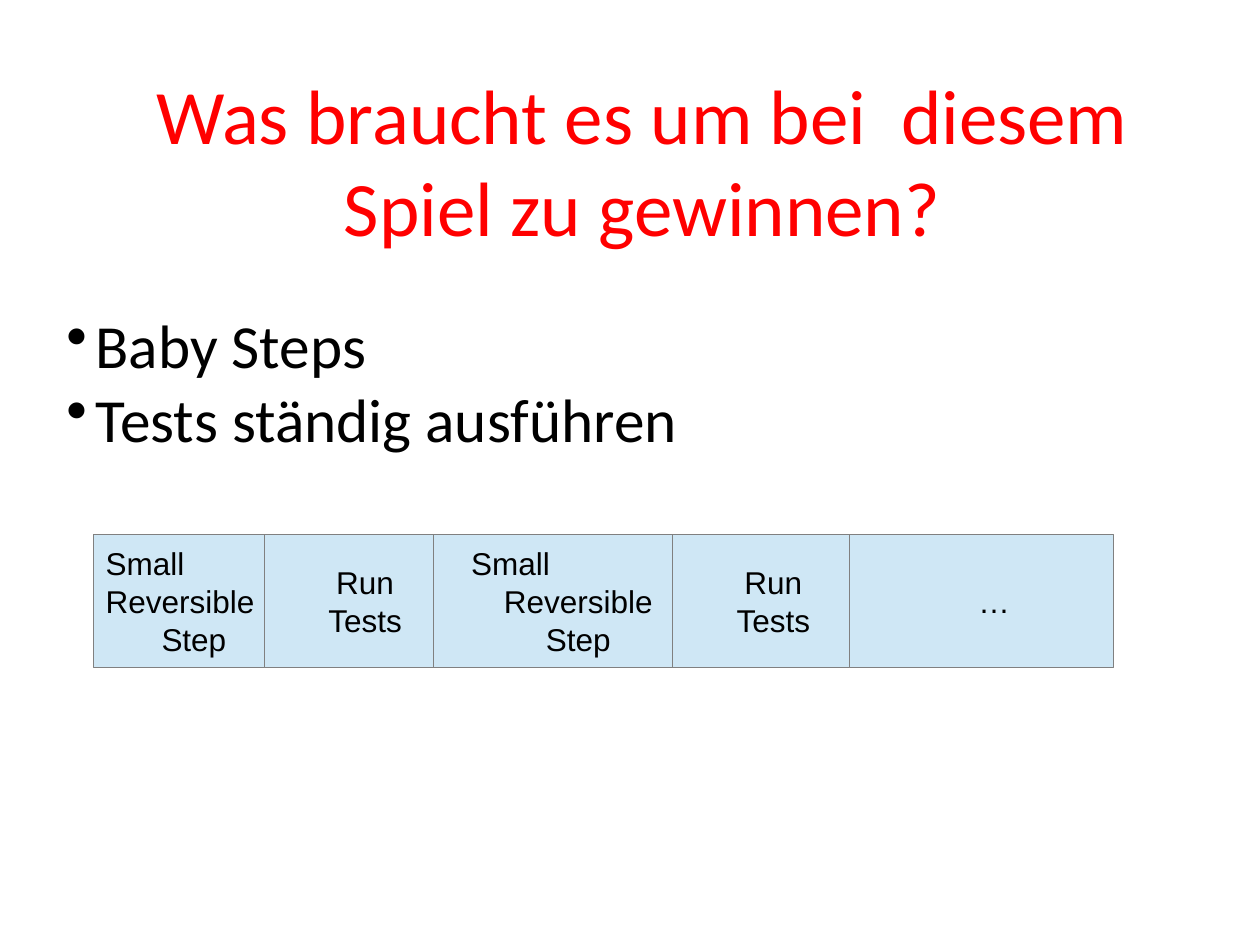
"""Build the slide on what it takes to win the game."""
from pptx import Presentation
from pptx.dml.color import RGBColor
from pptx.enum.shapes import MSO_SHAPE
from pptx.enum.text import MSO_ANCHOR, PP_ALIGN
from pptx.oxml.ns import qn
from pptx.util import Cm, Pt

COLOURS = {"title": "FF0000", "text": "000000", "step": "CFE7F5", "edge": "808080"}
LEFT, CENTRE = PP_ALIGN.LEFT, PP_ALIGN.CENTER


def colour(name):
    """Return the named colour."""
    return RGBColor.from_string(COLOURS[name])


def set_frame(shape, anchor, inset=0.25):
    """Set wrapping, anchor and margins, with the left inset in centimetres."""
    frame = shape.text_frame
    frame.word_wrap = True
    frame.vertical_anchor = anchor
    frame.margin_left, frame.margin_right = Cm(inset), Cm(0.25)
    frame.margin_top = frame.margin_bottom = Cm(0.13)
    return frame


def add_bullet(para):
    """Give the paragraph a round bullet with a hanging indent."""
    properties = para._p.get_or_add_pPr()
    properties.set("marL", str(Cm(0.59)))
    properties.set("indent", str(-Cm(0.59)))
    bullet = properties.makeelement(qn("a:buChar"), {"char": "•"})
    properties.append(bullet)


def write_lines(frame, lines, size, font, ink="text", aligns=None, bullet=False):
    """Write one paragraph per line, left-aligned unless aligns says otherwise."""
    for index, text in enumerate(lines):
        para = frame.paragraphs[0] if index == 0 else frame.add_paragraph()
        para.alignment = aligns[index] if aligns else LEFT
        if bullet:
            add_bullet(para)
        span = para.add_run()
        span.text = text
        span.font.size, span.font.name = Pt(size), font
        span.font.color.rgb = colour(ink)


def add_text(page, place, lines, anchor=MSO_ANCHOR.TOP, **style):
    """Add a text box at a place given in centimetres."""
    box = page.shapes.add_textbox(*map(Cm, place))
    write_lines(set_frame(box, anchor), lines, font="Calibri", **style)


def add_step(page, left, width, lines, aligns, inset=0.25):
    """Add one box of the step sequence."""
    box = page.shapes.add_shape(
        MSO_SHAPE.RECTANGLE, Cm(left), Cm(10.77), Cm(width), Cm(2.69))
    box.shadow.inherit = False
    box.fill.solid()
    box.fill.fore_color.rgb = colour("step")
    box.line.color.rgb = colour("edge")
    box.line.width = Pt(0.75)
    frame = set_frame(box, MSO_ANCHOR.MIDDLE, inset)
    write_lines(frame, lines, 18, "Arial", aligns=aligns)


def main():
    """Build and save the deck."""
    deck = Presentation()
    deck.slide_width, deck.slide_height = Cm(25.4), Cm(19.05)
    page = deck.slides.add_slide(deck.slide_layouts[6])

    add_text(page, (1.52, 1.52, 22.86, 3.4),
             ["Was braucht es um bei  diesem Spiel zu gewinnen?"],
             anchor=MSO_ANCHOR.MIDDLE, size=44, ink="title", aligns=[CENTRE])
    add_text(page, (1.09, 6.07, 22.99, 3.2),
             ["Baby Steps", "Tests ständig ausführen"], size=35, bullet=True)

    change = ["Small", "Reversible", "Step"]
    check = ["Run", "Tests"]
    narrow, wide = 4.06, 5.33
    add_step(page, 1.88, narrow, change, [LEFT, LEFT, CENTRE])
    add_step(page, 5.33, narrow, check, [CENTRE] * 2)
    add_step(page, 8.74, wide, change, [LEFT, CENTRE, CENTRE], inset=0.76)
    add_step(page, 13.56, narrow, check, [CENTRE] * 2)
    add_step(page, 17.12, wide, ["…"], [CENTRE], inset=0.76)

    deck.save("out.pptx")


if __name__ == "__main__":
    main()
